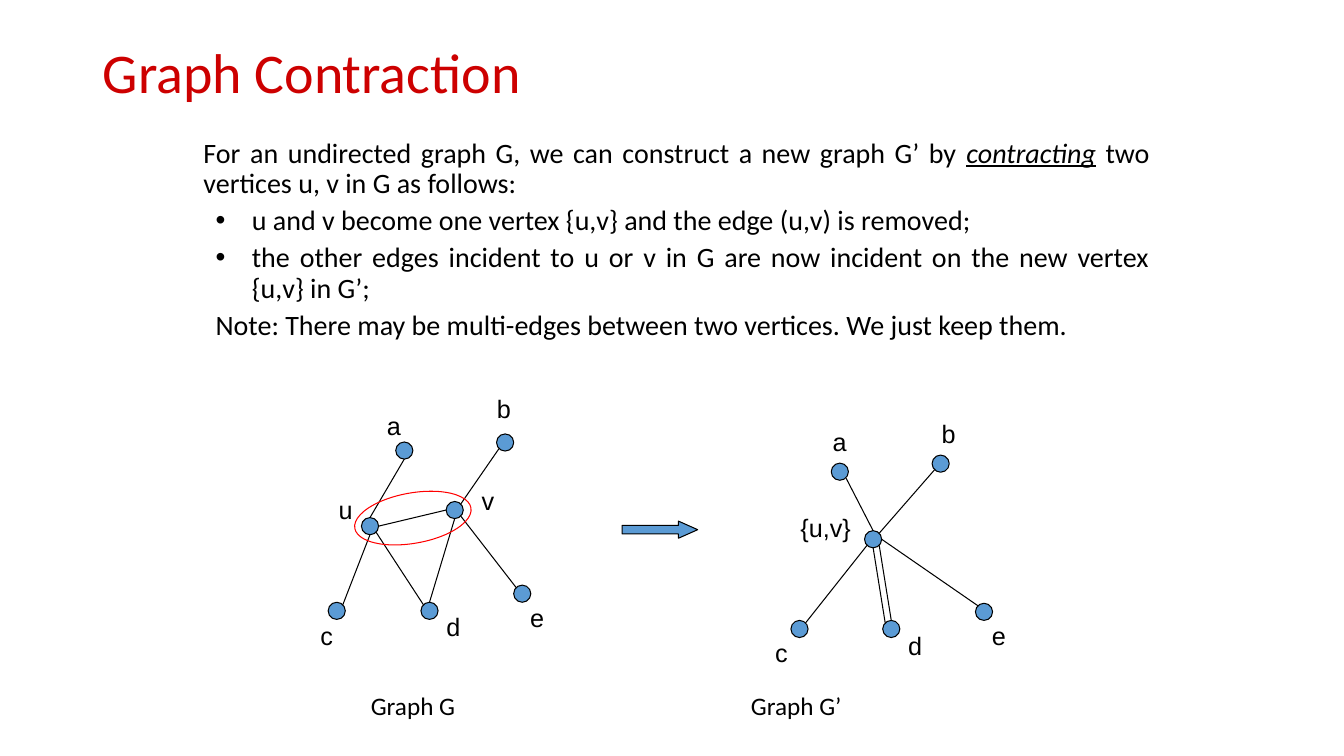
from dataclasses import dataclass
from math import hypot

from lxml import etree
from pptx import Presentation
from pptx.dml.color import RGBColor
from pptx.enum.shapes import MSO_CONNECTOR, MSO_SHAPE
from pptx.enum.text import MSO_ANCHOR, MSO_AUTO_SIZE, PP_ALIGN
from pptx.oxml.ns import qn
from pptx.util import Inches, Pt

STRAIGHT = MSO_CONNECTOR.STRAIGHT
ELLIPSE, RIGHT_ARROW = MSO_SHAPE.OVAL, MSO_SHAPE.RIGHT_ARROW
TOP, NO_FIT = MSO_ANCHOR.TOP, MSO_AUTO_SIZE.NONE
LEFT, JUSTIFY = PP_ALIGN.LEFT, PP_ALIGN.JUSTIFY
TITLE_ONLY = 5


@dataclass(frozen=True)
class Theme:
    title: RGBColor = RGBColor(0xCD, 0x00, 0x00)
    ink: RGBColor = RGBColor(0x00, 0x00, 0x00)
    vertex: RGBColor = RGBColor(0x5B, 0x9B, 0xD5)
    marker: RGBColor = RGBColor(0xFF, 0x00, 0x00)
    text_font: str = "Calibri"
    label_font: str = "Arial"
    title_size: int = 40
    body_size: int = 20
    label_size: int = 18
    line_width: float = 0.75


THEME = Theme()
VERTEX_SIZE = 0.17
LETTER_WIDTH, PAIR_WIDTH, CAPTION_WIDTH = 0.34, 0.7, 1.2
COMPASS = {"N": (0, -1), "NE": (1, -1), "E": (1, 0), "SE": (1, 1),
           "S": (0, 1), "SW": (-1, 1), "W": (-1, 0), "NW": (-1, -1)}

# Vertex name: (centre, top left of its label), in inches from the graph's corner
GRAPH_G = {
    "a": ((0.93, 0.62), (0.66, 0.17)),
    "b": ((1.93, 0.54), (1.75, 0)),
    "c": ((0.26, 2.21), (0, 2.25)),
    "d": ((1.18, 2.21), (1.25, 2.17)),
    "e": ((2.1, 2.04), (2.08, 2.08)),
    "u": ((0.59, 1.37), (0.18, 1)),
    "v": ((1.43, 1.21), (1.6, 0.92)),
}
EDGES_G = ["u S c NE", "a S u N", "v S d N", "b SW v NE",
           "e NW v SE", "d NW u SE", "v W u E"]
CONTRACTED = {
    "a": ((0.74, 0.58), (0.57, 0.08)),
    "b": ((1.74, 0.5), (1.65, 0)),
    "c": ((0.34, 2.14), (0, 2.17)),
    "d": ((1.25, 2.14), (1.32, 2.1)),
    "e": ((2.17, 1.97), (2.15, 2.01)),
    "{u,v}": ((1.07, 1.25), (0.25, 0.93)),
}
EDGES_CONTRACTED = ["{u,v} SW c NE", "a SE {u,v} N", "{u,v} SE d N",
                    "b SW {u,v} NE", "e NW {u,v} E", "d NW {u,v} S"]

# (spans, has a bullet, left margin, first-line indent, space before)
BODY = [
    (["For an undirected graph G, we can construct a new graph G’ by ",
      "contracting", " two vertices u, v in G as follows:"], False, 0.25, 0, 0),
    (["u and v become one vertex {u,v} and the edge (u,v) is removed;"],
     True, 0.73, -0.36, 5),
    (["the other edges incident to u or v in G are now incident on the new "
      "vertex {u,v} in G’;"], True, 0.73, -0.36, 5),
    (["Note: There may be multi-edges between two vertices. We just keep them."],
     False, 0.73, -0.36, 5),
]


def set_font(para, name, size, color):
    para.font.name = name
    para.font.size = Pt(size)
    para.font.color.rgb = color


def add_text(page, left, top, width, height):
    box = page.shapes.add_textbox(*map(Inches, (left, top, width, height)))
    return box.text_frame


def add_label(page, text, left, top, width, font):
    frame = add_text(page, left, top, width, 0.4)
    frame.word_wrap = False
    para = frame.paragraphs[0]
    para.text = text
    set_font(para, font, THEME.label_size, THEME.ink)


def add_outlined(page, kind, left, top, width, height, line, fill=None):
    shape = page.shapes.add_shape(kind, *map(Inches, (left, top, width, height)))
    shape.shadow.inherit = False
    if fill is None:
        shape.fill.background()
    else:
        shape.fill.solid()
        shape.fill.fore_color.rgb = fill
    shape.line.color.rgb = line
    shape.line.width = Pt(THEME.line_width)
    return shape


def add_edge(page, start, end):
    edge = page.shapes.add_connector(STRAIGHT, *map(Inches, (*start, *end)))
    edge.line.color.rgb = THEME.ink
    edge.line.width = Pt(THEME.line_width)
    etree.SubElement(edge._element.spPr, qn("a:effectLst"))


def rim_point(centre, side):
    dx, dy = COMPASS[side]
    reach = VERTEX_SIZE / 2 / hypot(dx, dy)
    return centre[0] + dx * reach, centre[1] + dy * reach


def add_title(page, left, top, width, height):
    title = page.shapes.title
    title.left, title.top, title.width, title.height = map(
        Inches, (left, top, width, height))
    frame = title.text_frame
    frame.text = "Graph Contraction"
    frame.auto_size = NO_FIT
    frame.vertical_anchor = TOP
    para = frame.paragraphs[0]
    para.alignment = LEFT
    para.line_spacing = 0.9
    set_font(para, THEME.text_font, THEME.title_size, THEME.title)


def add_body(page, left, top, width, height):
    frame = add_text(page, left, top, width, height)
    frame.word_wrap = True
    for index, (spans, bullet, margin, indent, before) in enumerate(BODY):
        para = frame.add_paragraph() if index else frame.paragraphs[0]
        para.alignment = JUSTIFY
        para.line_spacing = 0.9
        para.space_before = Pt(before)
        set_font(para, THEME.text_font, THEME.body_size, THEME.ink)
        for text in spans:
            span = para.add_run()
            span.text = text
            if text == "contracting":
                span.font.italic = span.font.underline = True
        props = para._p.get_or_add_pPr()
        props.set("marL", str(Inches(margin)))
        props.set("indent", str(Inches(indent)))
        if bullet:
            mark = etree.Element(qn("a:buChar"), char="•")
            font = etree.Element(qn("a:buFont"), typeface=THEME.label_font)
            props.find(qn("a:defRPr")).addprevious(font)
            font.addnext(mark)


def add_graph(page, left, top, vertices, edges):
    """Draw vertices, labels and edges; an edge reads 'vertex side vertex side'."""
    centres = {}
    for name, ((x, y), (label_x, label_y)) in vertices.items():
        centres[name] = (left + x, top + y)
        add_outlined(page, ELLIPSE, left + x - VERTEX_SIZE / 2,
                     top + y - VERTEX_SIZE / 2, VERTEX_SIZE, VERTEX_SIZE,
                     THEME.ink, THEME.vertex)
        width = LETTER_WIDTH if len(name) == 1 else PAIR_WIDTH
        add_label(page, name, left + label_x, top + label_y, width,
                  THEME.label_font)
    for edge in edges:
        tail, tail_side, head, head_side = edge.split()
        add_edge(page, rim_point(centres[tail], tail_side),
                 rim_point(centres[head], head_side))


def add_contraction(page, left, top):
    """Draw both graphs, the ring round u and v, the arrow and the captions."""
    add_graph(page, left, top, GRAPH_G, EDGES_G)
    ring = add_outlined(page, ELLIPSE, left + 0.43, top + 1.04, 1.17, 0.5,
                        THEME.marker)
    ring.rotation = 350
    arrow = add_outlined(page, RIGHT_ARROW, left + 3.09, top + 1.32, 0.75, 0.17,
                         THEME.ink, THEME.vertex)
    arrow.adjustments[0], arrow.adjustments[1] = 0.5, 1.125
    add_graph(page, left + 4.51, top + 0.25, CONTRACTED, EDGES_CONTRACTED)
    for caption, offset in (("Graph G", 0.5), ("Graph G’", 4.27)):
        add_label(page, caption, left + offset, top + 2.95, CAPTION_WIDTH,
                  THEME.text_font)


def main():
    deck = Presentation()
    deck.slide_width, deck.slide_height = Inches(13.33), Inches(7.5)
    page = deck.slides.add_slide(deck.slide_layouts[TITLE_ONLY])
    add_title(page, 0.92, 0.4, 11.5, 1.45)
    add_body(page, 1.67, 1.33, 9.83, 2.67)
    add_contraction(page, 3.08, 3.85)
    deck.save("out.pptx")


if __name__ == "__main__":
    main()
